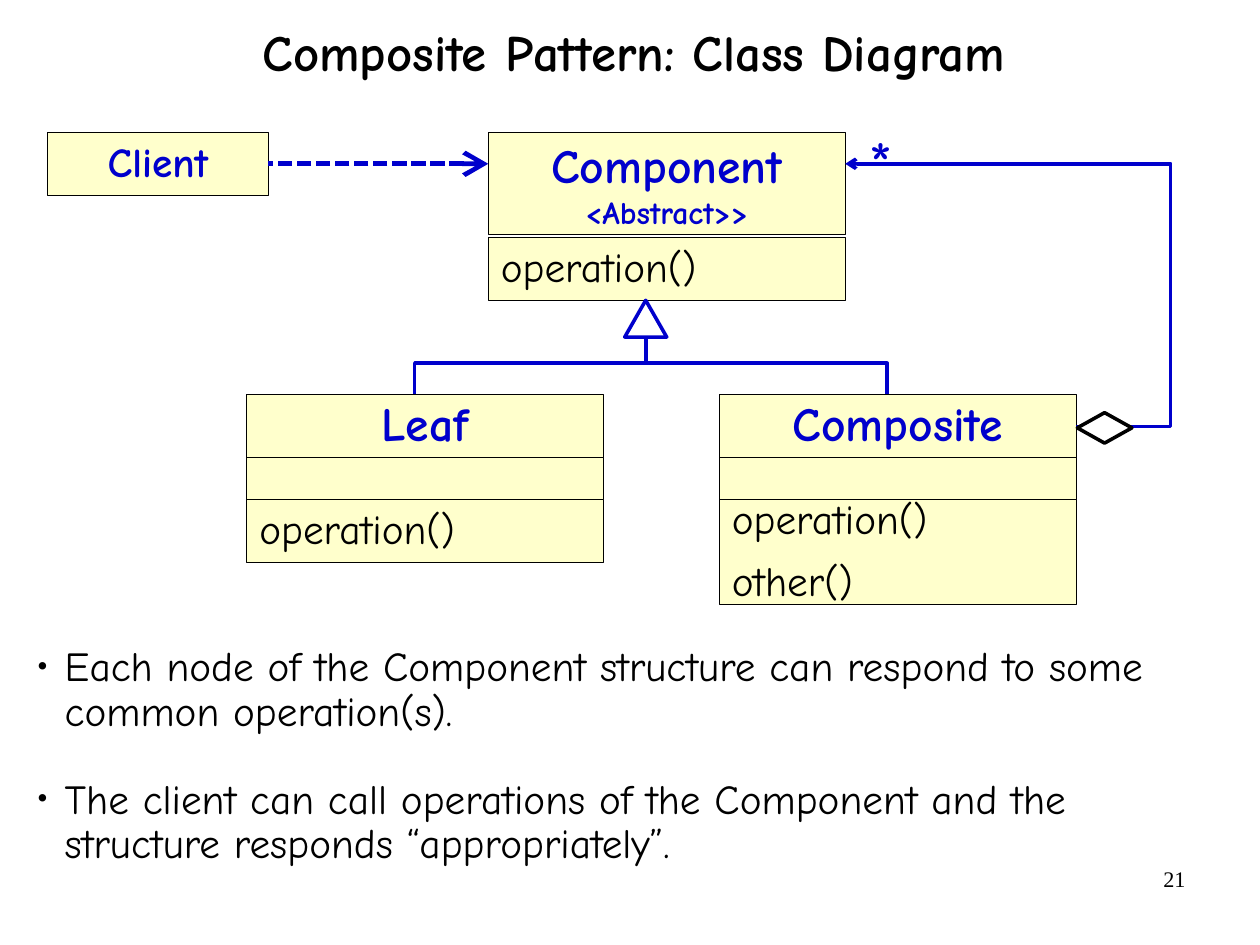
from dataclasses import dataclass

from lxml import etree
from pptx import Presentation
from pptx.dml.color import RGBColor
from pptx.enum.dml import MSO_LINE
from pptx.enum.shapes import MSO_CONNECTOR, MSO_SHAPE
from pptx.enum.text import MSO_ANCHOR, PP_ALIGN
from pptx.oxml.ns import qn
from pptx.util import Cm, Inches, Pt

LEFT, MID, RIGHT = PP_ALIGN.LEFT, PP_ALIGN.CENTER, PP_ALIGN.RIGHT
TOP, CENTRE = MSO_ANCHOR.TOP, MSO_ANCHOR.MIDDLE
RECT, PEAK, GEM = MSO_SHAPE.RECTANGLE, MSO_SHAPE.ISOSCELES_TRIANGLE, MSO_SHAPE.DIAMOND
STRAIGHT, DASH = MSO_CONNECTOR.STRAIGHT, MSO_LINE.SQUARE_DOT
WIDE, HIGH = Cm(28), Cm(21)
COLS, ROWS = 120, 90
BOX, HEAD, GAP = 34, 6, 4


@dataclass(frozen=True)
class Theme:
    """Colours, fonts and type sizes of the slide."""
    ink: RGBColor = RGBColor(0, 0, 0)
    blue: RGBColor = RGBColor(0, 0, 0xCC)
    cream: RGBColor = RGBColor(0xFF, 0xFF, 0xCC)
    white: RGBColor = RGBColor(0xFF, 0xFF, 0xFF)
    font: str = "Comic Neue"
    serif: str = "Times New Roman"
    title: int = 32
    name: int = 30
    body: int = 26
    note: int = 20
    star: int = 40
    page: int = 14
    thin: float = 0.75
    thick: float = 2.25
    heavy: float = 3


THEME = Theme()


def col(n):
    """Turn grid columns into a length."""
    return round(WIDE * n / COLS)


def row(n):
    """Turn grid rows into a length."""
    return round(HIGH * n / ROWS)


def place(x, y, w, h):
    """Turn a grid cell range into left, top, width and height."""
    return col(x), row(y), col(w), row(h)


def bullet(para):
    """Give a paragraph a hanging round bullet."""
    props = para._p.get_or_add_pPr()
    props.set("marL", str(Inches(0.24)))
    props.set("indent", str(-Inches(0.24)))
    tint = etree.SubElement(props, qn("a:buClr"))
    etree.SubElement(tint, qn("a:srgbClr")).set("val", str(THEME.ink))
    etree.SubElement(props, qn("a:buSzPct")).set("val", "75000")
    etree.SubElement(props, qn("a:buFont")).set("typeface", THEME.serif)
    etree.SubElement(props, qn("a:buChar")).set("char", "•")


def write(shape, lines, align=LEFT, anchor=CENTRE, pitch=0.9, before=0, after=10.9,
          dots=False, font=THEME.font):
    """Fill a shape with lines of (text, size, colour, bold)."""
    frame = shape.text_frame
    frame.word_wrap = True
    frame.vertical_anchor = anchor
    frame.margin_left = frame.margin_right = Inches(0.11)
    frame.margin_top = frame.margin_bottom = Inches(0.06)
    for i, (text, size, colour, bold) in enumerate(lines):
        para = frame.add_paragraph() if i else frame.paragraphs[0]
        para.alignment = align
        para.line_spacing = pitch
        para.space_before = Pt(before if i else 0)
        para.space_after = Pt(after)
        if dots:
            bullet(para)
        run = para.add_run()
        run.text = text
        run.font.name, run.font.size = font, Pt(size)
        run.font.bold, run.font.color.rgb = bold, colour


def label(slide, cell, lines, **style):
    """Add a text box on the grid."""
    write(slide.shapes.add_textbox(*place(*cell)), lines, **style)


def block(slide, kind, cell, fill=THEME.cream, edge=THEME.ink, width=THEME.thin):
    """Add a filled and outlined preset shape."""
    shape = slide.shapes.add_shape(kind, *place(*cell))
    shape.shadow.inherit = False
    shape.fill.solid()
    shape.fill.fore_color.rgb = fill
    shape.line.color.rgb = edge
    shape.line.width = Pt(width)
    return shape


def heading(slide, cell, text, size=THEME.name):
    """Add a box with a class name."""
    write(block(slide, RECT, cell), [(text, size, THEME.blue, True)], MID)


def methods(slide, cell, names):
    """Add a box that lists methods."""
    write(block(slide, RECT, cell), [(n, THEME.body, THEME.ink, False) for n in names])


def subclass(slide, x, y, name, names, depth):
    """Stack name, field and method boxes."""
    heading(slide, (x, y, BOX, HEAD), name)
    block(slide, RECT, (x, y + HEAD, BOX, GAP))
    methods(slide, (x, y + HEAD + GAP, BOX, depth), names)


def stroke(shape, width, end=None, size="med"):
    """Style a blue line and its arrowhead."""
    shape.line.color.rgb = THEME.blue
    shape.line.width = Pt(width)
    if end:
        tip = etree.SubElement(shape.line._ln, qn(end))
        for key, value in (("type", "arrow"), ("w", size), ("len", size)):
            tip.set(key, value)


def route(slide, points, end=None):
    """Draw an open line through grid points."""
    dots = [(col(x), row(y)) for x, y in points]
    build = slide.shapes.build_freeform(*dots[0])
    build.add_line_segments(dots[1:], close=False)
    shape = build.convert_to_shape()
    shape.shadow.inherit = False
    shape.fill.background()
    stroke(shape, THEME.thick, end)


def link(slide, start, stop, width, end=None, dash=None):
    """Draw a straight connector between grid points."""
    line = slide.shapes.add_connector(
        STRAIGHT, col(start[0]), row(start[1]), col(stop[0]), row(stop[1]))
    line.line.dash_style = dash
    stroke(line, width, end, "lg")
    etree.SubElement(line._element.spPr, qn("a:effectLst"))


def diagram(slide):
    """Draw the classes and their links."""
    base, top, low = 46.5, 12.6, 37.55
    leaf, comp = 23.5, 68.5
    axis, bar, lane = 61.5, 34.6, 15.6
    write(block(slide, RECT, (base, top, BOX, 9.7)),
          [("Component", THEME.name, THEME.blue, True),
           ("<Abstract>>", THEME.note, THEME.blue, True)], MID, pitch=1, after=0)
    methods(slide, (base, 22.6, BOX, HEAD), ["operation()"])
    subclass(slide, leaf, low, "Leaf", ["operation()"], HEAD)
    subclass(slide, comp, low, "Composite", ["operation()", "other()"], 10)
    edge = comp + BOX
    route(slide, [(edge, 40.6), (111.5, 40.6), (111.5, lane), (base + BOX, lane)],
          "a:tailEnd")
    label(slide, (81.5, 12, 6, 7.7), [("*", THEME.star, THEME.blue, False)], anchor=TOP)
    route(slide, [(39.5, low), (39.5, bar), (84.5, bar), (84.5, low)])
    link(slide, (axis, bar), (axis, 29.6), THEME.thick)
    block(slide, PEAK, (axis - 2, 28.6, 4, 3.5), THEME.white, THEME.blue, THEME.thick)
    heading(slide, (4.55, top, 21, HEAD), "Client", THEME.body)
    link(slide, (base, lane), (25.5, lane), THEME.heavy, "a:headEnd", DASH)
    block(slide, GEM, (edge + 0.1, 39.3, 5.2, 2.9), THEME.white, THEME.ink, THEME.thick)


def main():
    """Build and save the slide."""
    deck = Presentation()
    deck.slide_width, deck.slide_height = WIDE, HIGH
    slide = deck.slides.add_slide(deck.slide_layouts[6])
    label(slide, (86.1, 81.8, 28, 6.2), [("21", THEME.page, THEME.ink, False)],
          align=RIGHT, anchor=TOP, pitch=1, after=0, font=THEME.serif)
    label(slide, (9.2, 0, 102.4, 10.6),
          [("Composite Pattern: Class Diagram", THEME.title, THEME.ink, True)],
          align=MID, pitch=0.88, after=0)
    diagram(slide)
    points = [
        "Each node of the Component structure can respond to some common operation(s).",
        "The client can call operations of the Component and the structure responds "
        "“appropriately”.",
    ]
    label(slide, (2.35, 60.9, 114.3, 22.3),
          [(text, THEME.body, THEME.ink, False) for text in points],
          anchor=TOP, before=16.2, dots=True)
    deck.save("out.pptx")


if __name__ == "__main__":
    main()
